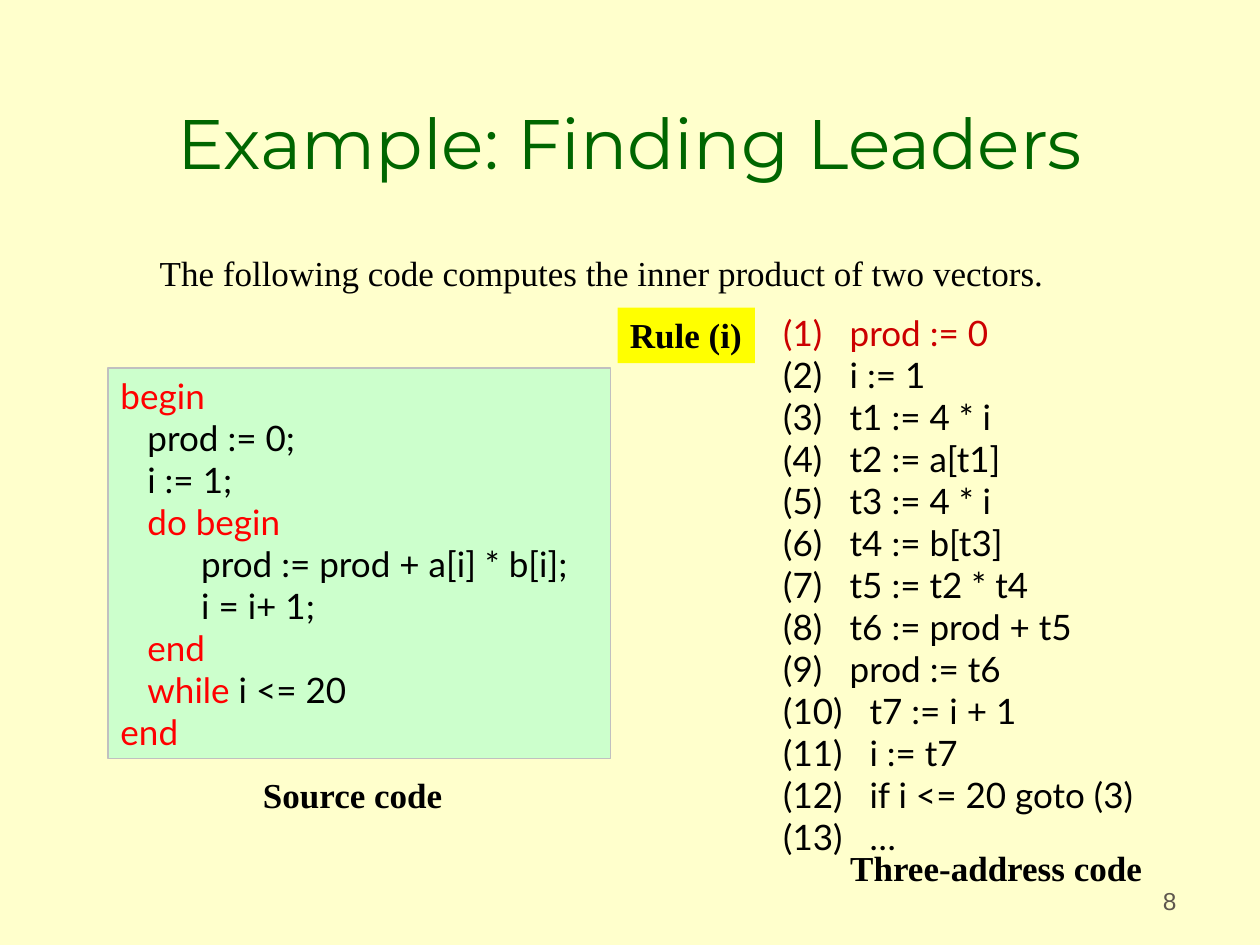
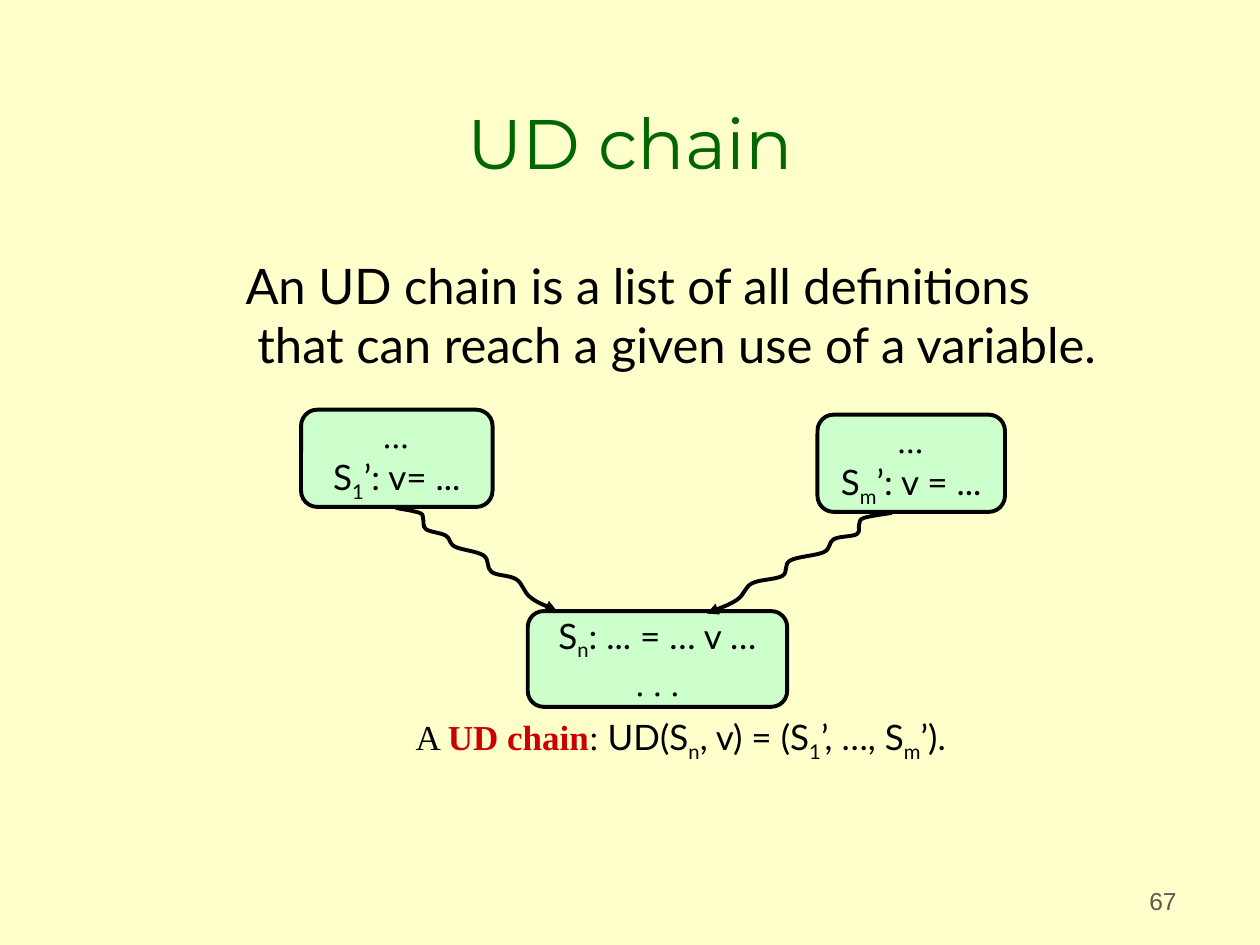
from lxml import etree
from pptx import Presentation
from pptx import util as u
from pptx.dml.color import RGBColor
from pptx.enum import shapes, text
from pptx.oxml import ns

PAPER, MINT, YELLOW, BLACK = "FFFFCC", "CCFFCC", "FFFF00", "000000"
SERIF, SANS = "Times New Roman", "Lato"

TITLE_STYLE = {"name": "Montserrat", "size": 40, "color": "006600"}
NUMBER_STYLE = {"name": "Arial", "size": 14, "color": "5E574E"}
PROSE = {"name": SERIF, "size": 20, "color": BLACK}
CODE = {**PROSE, "name": SANS}
LABEL = {**PROSE, "bold": True}
STATEMENT = {**CODE, "size": 28}

TITLE_PLACE = (1.9, 0.64, 21.6, 3.18)
NUMBER_PLACE = (18.69, 17.3, 5.28, 1.27)
LABEL_HEIGHT = 1.12

# A line is a list of spans; a span is (words, changes to the box style).
KEYWORD = {"color": "FF0000"}
LEADER = {"color": "CC0000"}
SUB = {"baseline": -25000}
IN_SERIF = {"name": SERIF}
DOTS = [("...", {"name": SERIF, "italic": True})]

SOURCE_CODE = [
    [("begin", KEYWORD)],
    [("   prod := 0;", {})],
    [("   i := 1;", {})],
    [("   ", {}), ("do begin", KEYWORD)],
    [("         prod := prod + a[i] * b[i];", {})],
    [("         i = i+ 1;", {})],
    [("   ", {}), ("end", KEYWORD)],
    [("   ", {}), ("while", KEYWORD), (" i <= 20", {})],
    [("end", KEYWORD)],
]
THREE_ADDRESS_CODE = [
    "prod := 0", "i := 1", "t1 := 4 * i", "t2 := a[t1]", "t3 := 4 * i",
    "t4 := b[t3]", "t5 := t2 * t4", "t6 := prod + t5", "prod := t6",
    "t7 := i + 1", "i := t7", "if i <= 20 goto (3)", "…",
]
LEADER_LINES = {1}

INTRO = "The following code computes the inner product of two vectors."
LEADER_LABELS = [
    (INTRO, (2.97, 4.95, 18.47, LABEL_HEIGHT), PROSE, None),
    ("Source code", (5.05, 15.47, 4.14, LABEL_HEIGHT), LABEL, None),
    ("Three-address code", (16.89, 16.94, 6.4, LABEL_HEIGHT), LABEL, None),
    ("Rule (i)", (12.45, 6.2, 2.77, LABEL_HEIGHT), LABEL, YELLOW),
]

UD_MEANING = [
    [("An UD chain is a list of all definitions", {})],
    [("that can reach a given use of a variable.", {})],
]
UD_NOTATION = [[
    ("A ", IN_SERIF), ("UD chain", {**IN_SERIF, **LEADER, "bold": True}),
    (": ", IN_SERIF), ("UD(S", {}), ("n", SUB), (", v) = (S", {}), ("1", SUB),
    ("’, …, S", {}), ("m", SUB), ("’).", {}),
]]
STATEMENTS = [
    ((6.07, 8.26, 3.86, 1.96), [DOTS, [("S", {}), ("1", SUB), ("’: v= ...", {})]]),
    ((16.48, 8.36, 3.78, 1.96), [DOTS, [("S", {}), ("m", SUB), ("’: v = ...", {})]]),
    ((10.64, 12.32, 5.23, 1.93),
     [[("S", {}), ("n", SUB), (": ... = … v …", {})], [(". . .", IN_SERIF)]]),
]
REACHING_PATHS = [
    [(7.98, 10.24), (8.46, 10.34), (8.53, 10.46), (8.59, 10.67), (8.99, 10.8),
     (9.17, 11.02), (9.75, 11.2), (9.91, 11.53), (10.41, 11.68), (10.69, 12.04),
     (11.23, 12.32)],
    [(17.98, 10.34), (17.42, 10.44), (17.32, 10.57), (17.27, 10.77), (16.81, 10.87),
     (16.61, 11.13), (15.93, 11.3), (15.77, 11.61), (15.16, 11.76), (14.86, 12.09),
     (14.25, 12.37)],
]


def rgb(value):
    return RGBColor.from_string(value)


def cm(values):
    return [u.Cm(value) for value in values]


def set_font(span, style):
    for key, value in style.items():
        if key == "color":
            span.font.color.rgb = rgb(value)
        elif key == "baseline":
            span._r.get_or_add_rPr().set("baseline", str(value))
        else:
            setattr(span.font, key, u.Pt(value) if key == "size" else value)


def write(box, lines, style, align=text.PP_ALIGN.LEFT,
          anchor=text.MSO_ANCHOR.TOP, wrap=False):
    frame = box.text_frame
    frame.auto_size = text.MSO_AUTO_SIZE.NONE
    frame.word_wrap = wrap
    frame.vertical_anchor = anchor
    for index, line in enumerate(lines):
        para = frame.add_paragraph() if index else frame.paragraphs[0]
        para.alignment = align
        for words, changes in line:
            span = para.add_run()
            span.text = words
            set_font(span, {**style, **changes})


def indent(para, left, first=0):
    """Set the left margin and the first-line offset, in centimetres."""
    properties = para._p.get_or_add_pPr()
    properties.set("marL", str(u.Cm(left)))
    properties.set("indent", str(u.Cm(first)))


def add_box(page, place, fill=None, line=None, kind=shapes.MSO_SHAPE.RECTANGLE):
    """Add a filled shape, or a plain text box where there is no fill."""
    if fill is None:
        return page.shapes.add_textbox(*cm(place))
    box = page.shapes.add_shape(kind, *cm(place))
    box.shadow.inherit = False
    box.fill.solid()
    box.fill.fore_color.rgb = rgb(fill)
    if line:
        set_line(box, *line)
    else:
        box.line.fill.background()
    return box


def set_line(shape, color, width):
    shape.line.color.rgb = rgb(color)
    shape.line.width = u.Pt(width)


def add_curved_arrow(page, knots):
    """Draw a smooth curve through the knots, with an arrowhead at its end."""
    points = [cm(knot) for knot in knots]
    builder = page.shapes.build_freeform(*points[0])
    builder.add_line_segments(points[1:], close=False)
    curve = builder.convert_to_shape()
    curve.shadow.inherit = False
    curve.fill.background()
    set_line(curve, BLACK, 2.25)
    etree.SubElement(curve.line._get_or_add_ln(), ns.qn("a:tailEnd"), type="triangle")

    local = [(x - curve.left, y - curve.top) for x, y in points]
    padded = [local[0], *local, local[-1]]
    segments = list(curve._element.iter(ns.qn("a:lnTo")))
    for segment, before, start, end, after in zip(
            segments, padded, padded[1:], padded[2:], padded[3:]):
        leave = [s + (e - b) / 6 for b, s, e in zip(before, start, end)]
        arrive = [e - (a - s) / 6 for s, e, a in zip(start, end, after)]
        bend = etree.Element(ns.qn("a:cubicBezTo"))
        for x, y in (leave, arrive, end):
            etree.SubElement(bend, ns.qn("a:pt"), x=str(round(x)), y=str(round(y)))
        segment.getparent().replace(segment, bend)


def add_page(deck, title, number):
    page = deck.slides.add_slide(deck.slide_layouts[5])
    heading = page.shapes.title
    heading.left, heading.top, heading.width, heading.height = cm(TITLE_PLACE)
    write(heading, [[(title, {})]], TITLE_STYLE, text.PP_ALIGN.CENTER,
          text.MSO_ANCHOR.BOTTOM, wrap=True)
    write(add_box(page, NUMBER_PLACE), [[(str(number), {})]], NUMBER_STYLE,
          text.PP_ALIGN.RIGHT, text.MSO_ANCHOR.BOTTOM, wrap=True)
    return page


def add_leaders_page(deck):
    page = add_page(deck, "Example: Finding Leaders", 8)
    listing = add_box(page, (15.54, 6.15, 7.8, 11.28), PAPER)
    write(listing, [[(f"({number})\t{code}", LEADER if number in LEADER_LINES else {})]
                    for number, code in enumerate(THREE_ADDRESS_CODE, 1)], CODE)
    for number, para in enumerate(listing.text_frame.paragraphs, 1):
        hang = 1.34 if number < 10 else 1.74
        indent(para, hang, -hang)
    for words, place, style, fill in LEADER_LABELS:
        write(add_box(page, place, fill), [[(words, {})]], style)
    source = add_box(page, (2.18, 7.42, 10.13, 7.87), MINT, ("C0C0C0", 0.75))
    write(source, SOURCE_CODE, CODE)


def add_chain_page(deck):
    page = add_page(deck, "UD chain", 67)
    for place, lines in STATEMENTS:
        box = add_box(page, place, MINT, (BLACK, 2.25),
                      shapes.MSO_SHAPE.ROUNDED_RECTANGLE)
        write(box, lines, CODE, text.PP_ALIGN.CENTER, text.MSO_ANCHOR.MIDDLE)
    for knots in REACHING_PATHS:
        add_curved_arrow(page, knots)
    write(add_box(page, (8.13, 14.3, 11.58, 1.22)), UD_NOTATION, CODE)
    meaning = add_box(page, (4.7, 5.03, 19.08, 2.64))
    write(meaning, UD_MEANING, STATEMENT)
    indent(meaning.text_frame.paragraphs[1], 0.24)


def main():
    deck = Presentation()
    deck.slide_width, deck.slide_height = cm((25.4, 19.05))
    backdrop = deck.slide_master.background.fill
    backdrop.solid()
    backdrop.fore_color.rgb = rgb(PAPER)
    add_leaders_page(deck)
    add_chain_page(deck)
    deck.save("out.pptx")


if __name__ == "__main__":
    main()
